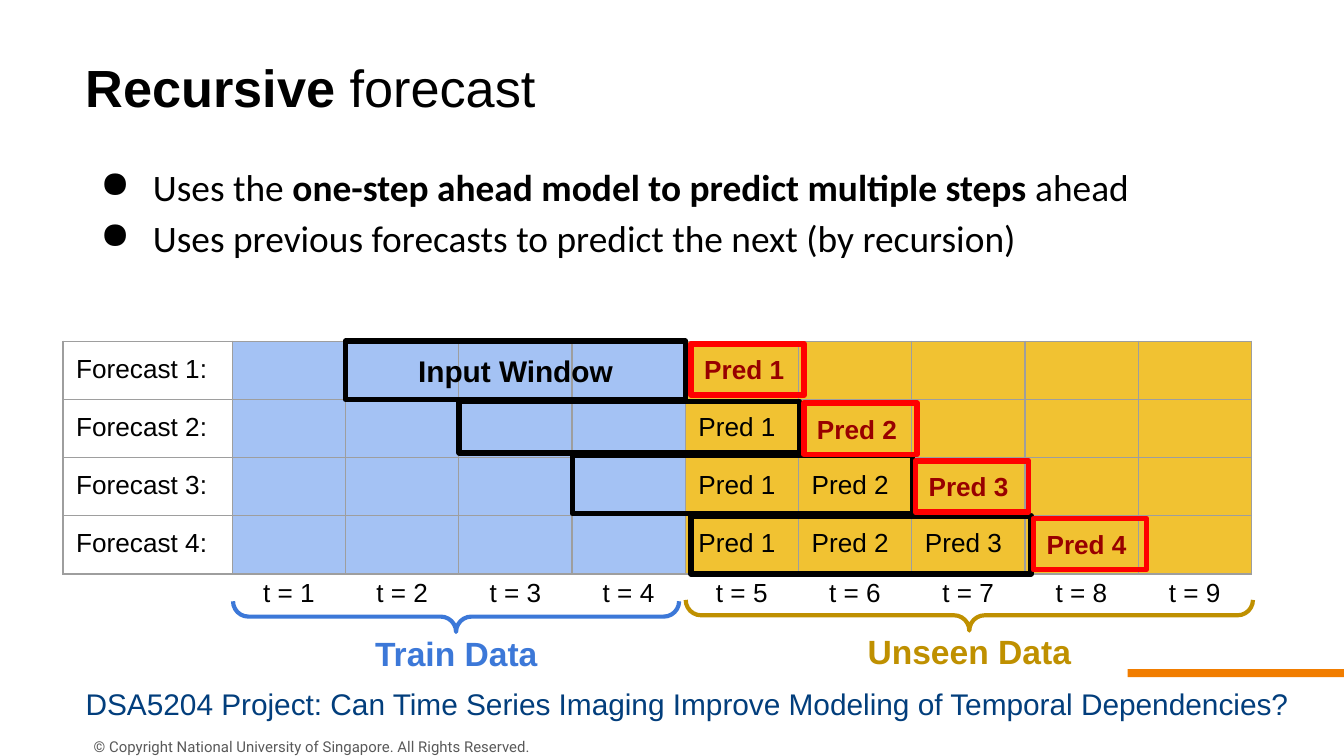
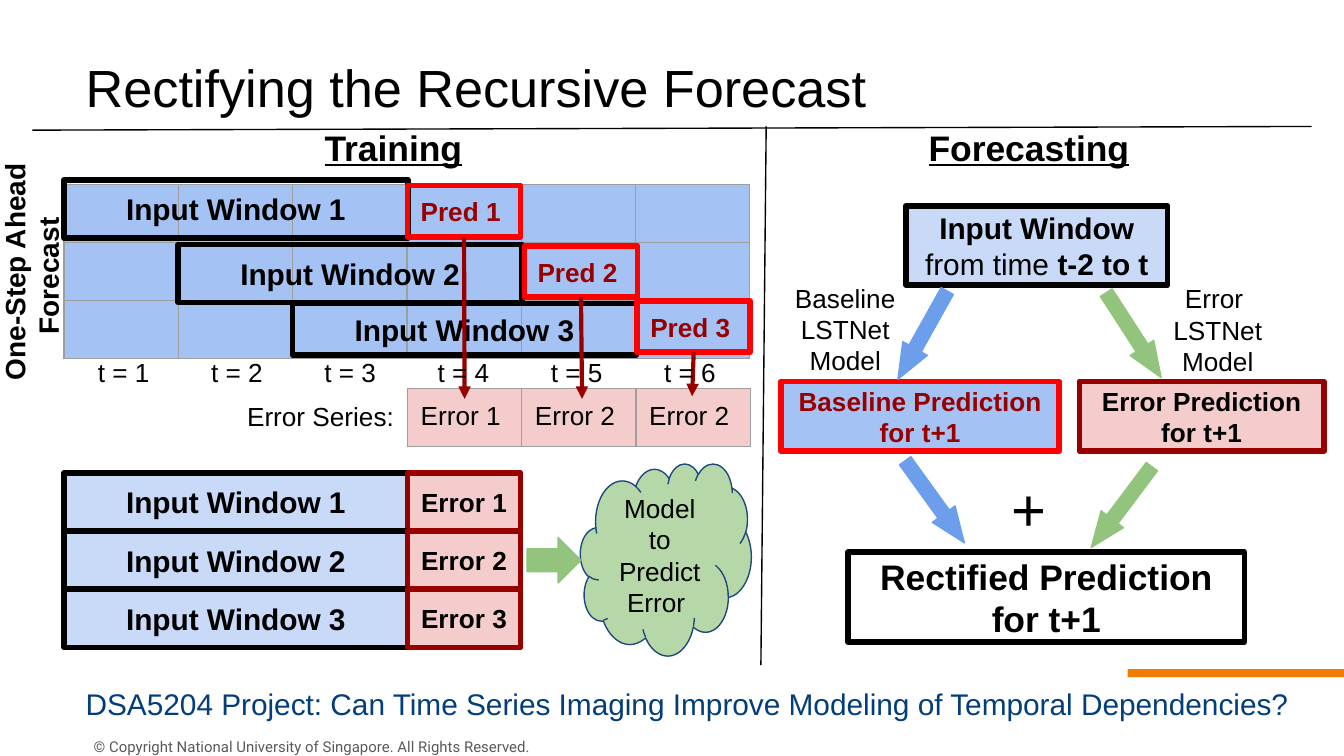
from dataclasses import dataclass
from typing import Optional

from lxml.etree import SubElement
from pptx import Presentation
from pptx.dml.color import RGBColor
from pptx.enum.shapes import MSO_CONNECTOR, MSO_SHAPE
from pptx.enum.text import MSO_ANCHOR, PP_ALIGN
from pptx.oxml.ns import qn
from pptx.util import Cm, Pt

COLORS = {
    "black": "000000", "white": "FFFFFF", "gray": "595959", "grid": "9E9E9E",
    "orange": "F17D00", "navy": "023E7C", "outline": "1F497D", "red": "FF0000",
    "maroon": "980000", "pink": "F4CCCC", "train": "A4C2F4", "window": "C9DAF8",
    "unseen": "F1C232", "train_brace": "3C78D8", "unseen_brace": "BF9000",
    "blue_arrow": "6D9EEB", "green_arrow": "93C47D", "cloud": "B6D7A8",
}
FORMATS = {
    "copyright": {"name": "Roboto", "size": Pt(8)},
    "title": {"name": "Arial", "size": Pt(28)},
    "bullet": {"name": "Calibri", "size": Pt(20)},
    "project": {"name": "Arial", "size": Pt(16)},
    "label": {"name": "Arial", "size": Pt(14)},
    "strong_label": {"name": "Arial", "size": Pt(14), "bold": True},
    "window": {"name": "Arial", "size": Pt(16), "bold": True},
    "brace": {"name": "Arial", "size": Pt(18), "bold": True},
    "heading": {"name": "Arial", "size": Pt(19), "bold": True, "underline": True},
    "result": {"name": "Arial", "size": Pt(19), "bold": True},
    "side": {"name": "Arial", "size": Pt(15), "bold": True},
    "plus": {"name": "Arial", "size": Pt(32)},
}
ALIGNMENTS = {"left": PP_ALIGN.LEFT, "center": PP_ALIGN.CENTER, "right": PP_ALIGN.RIGHT}
INSET = 0.25
ROW_HEIGHT = 1.1
STEP = 2.14
TRAIN_STEP = 2.16
WINDOW_WIDTH = 6.5
PREDICTION_HEIGHT = 0.97


@dataclass
class Box:
    left: float
    top: float
    width: float
    height: float
    text: str = ""
    style: str = "label"
    color: str = "black"
    align: str = "center"
    anchor: MSO_ANCHOR = MSO_ANCHOR.MIDDLE
    inset: float = INSET
    fill: Optional[str] = None
    line: Optional[str] = None
    line_width: float = 3
    kind: MSO_SHAPE = MSO_SHAPE.RECTANGLE
    rotation: float = 0
    adjustments: tuple = ()
    bullets: bool = False


@dataclass
class Grid:
    left: float
    top: float
    widths: list
    texts: list
    fills: list
    border: Optional[str] = None
    align: str = "left"


@dataclass
class Line:
    start: tuple
    end: tuple
    color: str = "black"
    width: float = 0.75
    arrow: bool = False


def rgb(color: str) -> RGBColor:
    return RGBColor.from_string(COLORS[color])


def set_fill(fill, color: Optional[str]) -> None:
    if color is None:
        fill.background()
    else:
        fill.solid()
        fill.fore_color.rgb = rgb(color)


def add_bullet(paragraph) -> None:
    properties = paragraph._p.get_or_add_pPr()
    properties.set("marL", str(Cm(1.27)))
    properties.set("indent", str(-Cm(0.99)))
    bullet_color = SubElement(properties, qn("a:buClr"))
    SubElement(bullet_color, qn("a:srgbClr"), val=COLORS["black"])
    SubElement(properties, qn("a:buChar"), char="●")
    paragraph.line_spacing = 1.15


def write_text(frame, text: str, style: str, color: str, align: str, bullets: bool = False) -> None:
    for index, line in enumerate(text.split("\n")):
        paragraph = frame.paragraphs[0] if index == 0 else frame.add_paragraph()
        paragraph.alignment = ALIGNMENTS[align]
        if bullets:
            add_bullet(paragraph)
        for position, part in enumerate(line.split("**")):
            if not part:
                continue
            run = paragraph.add_run()
            run.text = part
            for attribute, value in FORMATS[style].items():
                setattr(run.font, attribute, value)
            run.font.color.rgb = rgb(color)
            if position % 2:
                run.font.bold = True


def add_box(slide, box: Box):
    place = [Cm(length) for length in (box.left, box.top, box.width, box.height)]
    if box.fill or box.line:
        shape = slide.shapes.add_shape(box.kind, *place)
        shape.shadow.inherit = False
        set_fill(shape.fill, box.fill)
        set_fill(shape.line.fill, box.line)
        if box.line:
            shape.line.width = Pt(box.line_width)
        for index, value in enumerate(box.adjustments):
            shape.adjustments[index] = value
    else:
        shape = slide.shapes.add_textbox(*place)
    shape.rotation = box.rotation
    if box.text:
        frame = shape.text_frame
        settings = {
            "word_wrap": True, "vertical_anchor": box.anchor,
            "margin_left": Cm(INSET), "margin_right": Cm(INSET),
            "margin_top": Cm(box.inset), "margin_bottom": Cm(box.inset),
        }
        for attribute, value in settings.items():
            setattr(frame, attribute, value)
        write_text(frame, box.text, box.style, box.color, box.align, box.bullets)
    return shape


def add_border(cell, color: Optional[str]) -> None:
    properties = cell._tc.get_or_add_tcPr()
    for side in ("a:lnL", "a:lnR", "a:lnT", "a:lnB"):
        edge = SubElement(properties, qn(side), w=str(Pt(0.75)))
        if color is None:
            SubElement(edge, qn("a:noFill"))
        else:
            fill = SubElement(edge, qn("a:solidFill"))
            SubElement(fill, qn("a:srgbClr"), val=COLORS[color])


def add_grid(slide, grid: Grid) -> None:
    rows = len(grid.texts)
    table = slide.shapes.add_table(
        rows, len(grid.widths), Cm(grid.left), Cm(grid.top),
        Cm(sum(grid.widths)), Cm(rows * ROW_HEIGHT),
    ).table
    table.first_row = table.horz_banding = False
    for column, width in zip(table.columns, grid.widths):
        column.width = Cm(width)
    for row, texts in zip(table.rows, grid.texts):
        row.height = Cm(ROW_HEIGHT)
        for cell, text, fill in zip(row.cells, texts, grid.fills):
            add_border(cell, grid.border)
            set_fill(cell.fill, fill)
            cell.margin_left = cell.margin_right = Cm(INSET)
            cell.margin_top = cell.margin_bottom = Cm(INSET if text else 0)
            if text:
                write_text(cell.text_frame, text, "label", "black", grid.align)


def add_time_labels(slide, left: float, top: float, count: int) -> None:
    labels = [f"t = {time}" for time in range(1, count + 1)]
    add_grid(slide, Grid(left, top, [STEP] * count, [labels], [None] * count, align="center"))


def add_line(slide, line: Line, source=None) -> None:
    connector = slide.shapes.add_connector(
        MSO_CONNECTOR.STRAIGHT, *[Cm(length) for length in (*line.start, *line.end)]
    )
    if source is not None:
        connector.begin_connect(source, 2)
    connector.line.color.rgb = rgb(line.color)
    connector.line.width = Pt(line.width)
    if line.arrow:
        SubElement(connector.line._get_or_add_ln(), qn("a:tailEnd"), type="triangle")
    SubElement(connector._element.spPr, qn("a:effectLst"))


def text_line(left: float, top: float, width: float, height: float, text: str,
              style: str, color: str = "black", bullets: bool = False) -> Box:
    return Box(left, top, width, height, text, style, color, "left",
               MSO_ANCHOR.TOP, 0.13, bullets=bullets)


def window(left: float, top: float, height: float, text: str = "",
           width: float = WINDOW_WIDTH, fill: Optional[str] = None) -> Box:
    return Box(left, top, width, height, text, "window", fill=fill, line="black")


def prediction(left: float, top: float, number: int) -> Box:
    return Box(left, top, STEP, PREDICTION_HEIGHT, f"Pred {number}",
               "strong_label", "maroon", "left", line="red")


def caption(left: float, top: float, width: float, height: float, text: str,
            style: str = "label", color: str = "black", **options) -> Box:
    return Box(left, top, width, height, text, style, color,
               **{"anchor": MSO_ANCHOR.TOP, **options})


def brace(left: float, top: float, length: float, color: str) -> Box:
    return Box(left, top, 0.58, length, line=color, line_width=2.25,
               kind=MSO_SHAPE.LEFT_BRACE, rotation=270, adjustments=(0.5, 0.5))


def block_arrow(left: float, top: float, width: float, height: float,
                color: str, rotation: float = 0, head: float = 1.255) -> Box:
    return Box(left, top, width, height, fill=color, line=color, line_width=0.75,
               kind=MSO_SHAPE.RIGHT_ARROW, rotation=rotation, adjustments=(0.5, head))


def start_slide(presentation, title: str):
    slide = presentation.slides.add_slide(presentation.slide_layouts[6])
    for box in (
        text_line(1.52, 13.82, 8.92, 0.61,
                  "© Copyright National University of Singapore. All Rights Reserved.",
                  "copyright", "gray"),
        Box(21.31, 12.65, 4.09, 0.15, fill="orange"),
        text_line(1.37, 0.91, 19.86, 1.5, title, "title"),
        text_line(1.37, 12.83, 23.77, 0.81,
                  "DSA5204 Project: Can Time Series Imaging Improve Modeling of Temporal Dependencies?",
                  "project", "navy"),
    ):
        add_box(slide, box)
    return slide


def build_recursive(presentation) -> None:
    slide = start_slide(presentation, "**Recursive **forecast")
    add_box(slide, text_line(
        1.37, 2.84, 23.39, 2.08,
        "Uses the **one-step ahead model to predict multiple steps** ahead\n"
        "Uses previous forecasts to predict the next (by recursion)",
        "bullet", bullets=True))
    texts = [
        [f"Forecast {row}:"] + [""] * 4
        + [f"Pred {step}" if step < row else "" for step in range(1, 6)]
        for row in range(1, 5)
    ]
    fills = [None] + ["train"] * 4 + ["unseen"] * 5
    add_grid(slide, Grid(1.19, 6.45, [3.2] + [STEP] * 9, texts, fills, "grid"))
    for left, top, height, text in (
        (6.53, 6.45, 1.1, "Input Window"), (8.68, 7.59, 0.97, ""),
        (10.82, 8.61, 1.1, ""), (13.06, 9.75, 1.1, ""),
    ):
        add_box(slide, window(left, top, height, text, 6.43))
    places = ((13.06, 6.5), (15.19, 7.62), (17.3, 8.71), (19.53, 9.8))
    for number, place in enumerate(places, 1):
        add_box(slide, prediction(*place, number))
    for box in (
        brace(8.33, 7.44, 8.43, "train_brace"),
        caption(6.48, 11.71, 4.29, 1.27, "Train Data", "brace", "train_brace"),
        brace(18.03, 6.27, 10.72, "unseen_brace"),
        caption(15.6, 11.68, 5.44, 1.27, "Unseen Data", "brace", "unseen_brace"),
    ):
        add_box(slide, box)
    add_time_labels(slide, 4.39, 10.69, 9)


def build_training(slide) -> None:
    add_grid(slide, Grid(1.21, 3.48, [TRAIN_STEP] * 6, [[""] * 6] * 3, ["train"] * 6, "grid"))
    windows = ((3.4, 1.1), (4.62, 1.1), (5.74, 0.97))
    places = ((7.7, 3.51), (9.91, 4.65), (12.04, 5.69))
    predictions = []
    for index, ((top, height), place) in enumerate(zip(windows, places)):
        left = 1.21 + index * TRAIN_STEP
        add_box(slide, window(left, top, height, f"Input Window {index + 1}"))
        predictions.append(add_box(slide, prediction(*place, index + 1)))
    add_grid(slide, Grid(7.7, 7.34, [TRAIN_STEP] * 3, [["Error 1", "Error 2", "Error 2"]],
                         ["pink"] * 3, "grid"))
    ends = ((8.78, 7.54), (11, 7.54), (13.08, 7.49))
    for source, place, end in zip(predictions, places, ends):
        add_line(slide, Line(place, end, "maroon", 2.25, True), source)
    add_box(slide, caption(4.19, 7.32, 3.51, 1.12, "Error Series:", align="right"))
    for index in range(3):
        top = 8.94 + index * ROW_HEIGHT
        add_box(slide, window(1.21, top, ROW_HEIGHT, f"Input Window {index + 1}", fill="window"))
        add_box(slide, Box(7.7, top, STEP, ROW_HEIGHT, f"Error {index + 1}",
                           "strong_label", fill="pink", line="maroon"))
    add_box(slide, Box(10.97, 8.76, 3.23, 3.63, "Model to Predict Error ", fill="cloud",
                       line="outline", line_width=0.75, kind=MSO_SHAPE.CLOUD))
    add_box(slide, block_arrow(9.96, 10.16, 1.02, 0.86, "green_arrow", head=0.5))


def build_forecasting(slide) -> None:
    for box in (
        Box(17.12, 3.89, 4.95, 1.5, "**Input Window**\nfrom time **t-2 to t**",
            "project", fill="window", line="black"),
        Box(20.4, 7.21, 4.62, 1.32, "Error Prediction for t+1", "strong_label",
            fill="pink", line="maroon"),
        Box(14.76, 7.21, 5.26, 1.32, "Baseline Prediction for t+1", "strong_label",
            "maroon", fill="train", line="red"),
        caption(14.73, 5.08, 2.49, 2.31, "Baseline\nLSTNet Model"),
        caption(21.77, 5.08, 2.49, 2.31, "Error \nLSTNet Model", anchor=MSO_ANCHOR.MIDDLE),
        Box(16.03, 10.44, 7.49, 1.7, "Rectified Prediction for t+1", "result",
            fill="white", line="black"),
        caption(18.21, 8.66, 2.49, 1.88, "+", "plus"),
    ):
        add_box(slide, box)
    for left, top, color, rotation in (
        (20.47, 6.07, "green_arrow", 57.1), (16.48, 6.07, "blue_arrow", 119.2),
        (20.24, 9.32, "green_arrow", 126.9), (16.71, 9.22, "blue_arrow", 54.2),
    ):
        add_box(slide, block_arrow(left, top, 1.91, 0.53, color, rotation))


def build_rectifying(presentation) -> None:
    slide = start_slide(presentation, "Rectifying the Recursive Forecast")
    build_training(slide)
    add_line(slide, Line((14.48, 2.39), (14.38, 12.57)))
    add_line(slide, Line((0.61, 2.46), (24.79, 2.39)))
    for left, text in ((3.89, "Training"), (15.9, "Forecasting")):
        add_box(slide, caption(left, 2.13, 7.09, 1.32, text, "heading"))
    build_forecasting(slide)
    add_box(slide, caption(-1.9, 4.24, 5, 1.8, "One-Step Ahead Forecast ", "side", rotation=270))
    add_time_labels(slide, 1.27, 6.53, 6)


def main() -> None:
    presentation = Presentation()
    presentation.slide_width = Cm(25.4)
    presentation.slide_height = Cm(14.29)
    build_recursive(presentation)
    build_rectifying(presentation)
    presentation.save("out.pptx")


if __name__ == "__main__":
    main()
